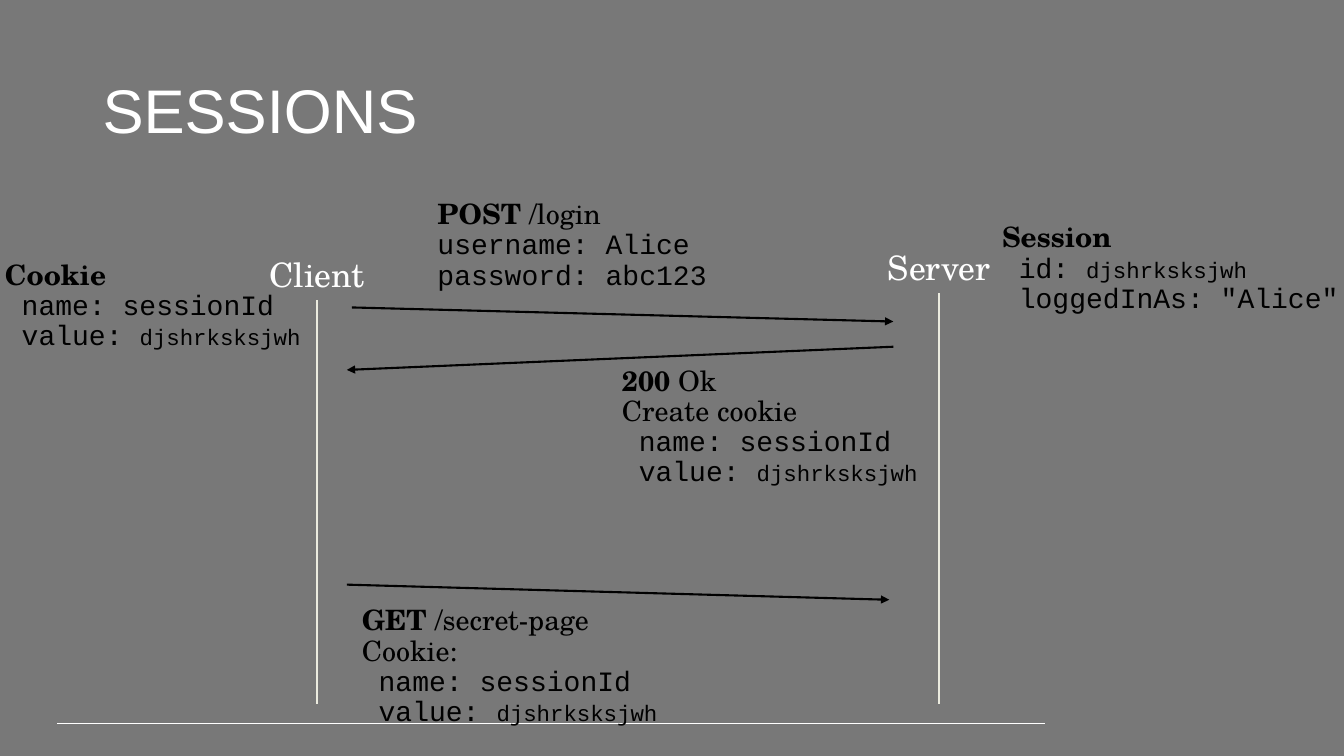
import pptx
import pptx.util
import pptx.dml.color
import pptx.enum.shapes
import pptx.enum.text
import pptx.oxml.ns
import lxml.etree

Inches = pptx.util.Inches
COLORS = {"background": "787878", "light": "FFFFFF", "lifeline": "EBEBDF", "dark": "000000"}
SERIF, MONO = "TeX Gyre Schola", "Courier New"

STYLES = {
    "title": {"name": "Arial", "size": 44, "color": "light"},
    "actor": {"name": SERIF, "size": 24, "color": "light"},
    "bold": {"name": SERIF, "size": 20, "color": "dark", "bold": True},
    "plain": {"name": SERIF, "size": 20, "color": "dark"},
    "code": {"name": MONO, "size": 20, "color": "dark"},
    "token": {"name": MONO, "size": 16, "color": "dark"},
}

# Each line of text is a list of (style, words).
TOKEN = ("token", "djshrksksjwh")
COOKIE_LINES = [[("code", " name: sessionId")], [("code", " value: "), TOKEN]]

TITLE = ((0.92, 0.4, 11.5, 1.45), [[("title", "SESSIONS")]])
ACTORS = [
    ((2.27, 2.52, 1.75, 0.46), [[("actor", "Client")]]),
    ((8.44, 2.45, 1.75, 0.46), [[("actor", "Server")]]),
]
NOTES = [
    ((9.84, 2.17, 3.57, 1.02), [
        [("bold", "Session")],
        [("code", " id: "), TOKEN],
        [("code", ' loggedInAs: "Alice"')],
    ]),
    ((4.24, 1.94, 2.88, 1.01), [
        [("bold", "POST "), ("plain", "/login")],
        [("code", "username: Alice")],
        [("code", "password: abc123")],
    ]),
    ((6.07, 3.59, 3.19, 1.32), [
        [("bold", "200"), ("plain", " Ok")],
        [("plain", "Create cookie")],
        *COOKIE_LINES,
    ]),
    ((-0.05, 2.54, 3.45, 1.02), [[("bold", "Cookie")], *COOKIE_LINES]),
    ((3.49, 5.97, 3.18, 1.32), [
        [("bold", "GET "), ("plain", "/secret-page")],
        [("plain", "Cookie:")],
        *COOKIE_LINES,
    ]),
]

FOOTER_RULE = (0.57, 7.18, 10.36, 7.18)
MESSAGES = [
    (3.49, 3.05, 8.86, 3.19),
    (8.86, 3.44, 3.44, 3.67),
    (3.44, 5.8, 8.82, 5.95),
]
LIFELINE_END = 6.98


def rgb(color):
    return pptx.dml.color.RGBColor.from_string(COLORS[color])


def add_line(slide, ends, color, width=1.5, arrow=False):
    line = slide.shapes.add_connector(
        pptx.enum.shapes.MSO_CONNECTOR.STRAIGHT, *map(Inches, ends))
    line.line.color.rgb = rgb(color)
    line.line.width = pptx.util.Pt(width)
    if arrow:
        lxml.etree.SubElement(line.line._get_or_add_ln(),
                              pptx.oxml.ns.qn("a:tailEnd"), type="triangle")
    lxml.etree.SubElement(line._element.spPr, pptx.oxml.ns.qn("a:effectLst"))


def add_text(slide, place, lines, align="LEFT", anchor="TOP"):
    box = slide.shapes.add_textbox(*map(Inches, place))
    frame = box.text_frame
    frame.word_wrap = True
    frame.vertical_anchor = pptx.enum.text.MSO_ANCHOR[anchor]
    para = frame.paragraphs[0]
    para.alignment = pptx.enum.text.PP_ALIGN[align]
    para.line_spacing = 0.9
    for number, line in enumerate(lines):
        if number:
            para.add_line_break()
        for style, words in line:
            span = para.add_run()
            span.text = words
            values = dict(STYLES[style])
            span.font.color.rgb = rgb(values.pop("color"))
            values["size"] = pptx.util.Pt(values["size"])
            for attribute, value in values.items():
                setattr(span.font, attribute, value)


def main():
    deck = pptx.Presentation()
    deck.slide_width, deck.slide_height = Inches(13.33), Inches(7.5)
    slide = deck.slides.add_slide(deck.slide_layouts[6])
    slide.background.fill.solid()
    slide.background.fill.fore_color.rgb = rgb("background")

    add_line(slide, FOOTER_RULE, "light", width=0.75)
    add_text(slide, *TITLE, anchor="MIDDLE")
    for place, lines in ACTORS:
        add_text(slide, place, lines, align="CENTER")
        left, top, width, height = place
        center = left + width / 2
        add_line(slide, (center, top + height, center, LIFELINE_END), "lifeline")
    for ends in MESSAGES:
        add_line(slide, ends, "dark", arrow=True)
    for place, lines in NOTES:
        add_text(slide, place, lines)
    deck.save("out.pptx")


if __name__ == "__main__":
    main()
